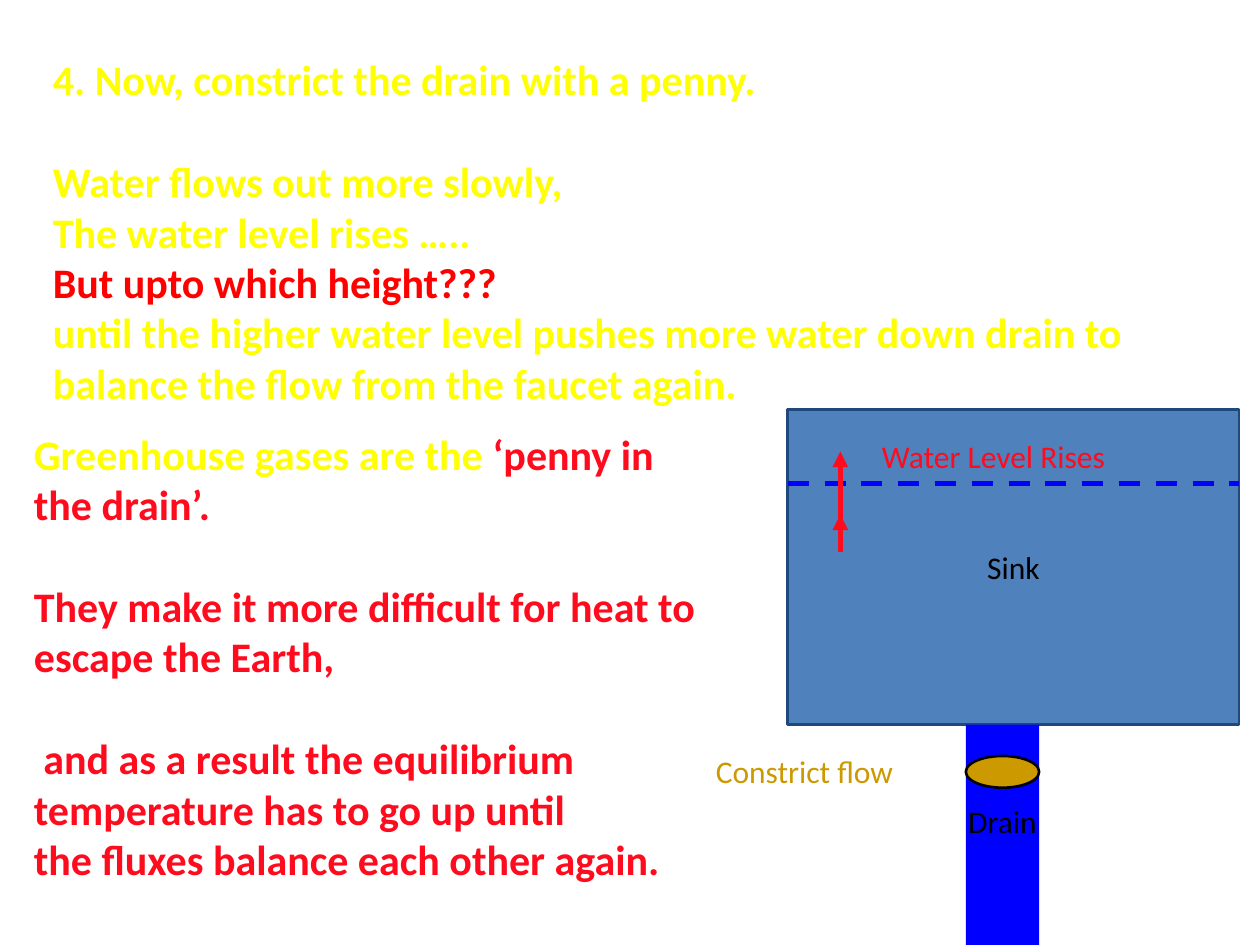
from dataclasses import dataclass

from lxml.etree import SubElement
from pptx import Presentation
from pptx.dml.color import RGBColor
from pptx.enum.dml import MSO_LINE
from pptx.enum.shapes import MSO_CONNECTOR, MSO_SHAPE
from pptx.enum.text import MSO_ANCHOR, MSO_AUTO_SIZE, PP_ALIGN
from pptx.oxml.ns import qn
from pptx.util import Cm, Pt


@dataclass(frozen=True)
class Theme:
    font: str = "Calibri"
    text_size: int = 24
    label_size: int = 18
    line_gap: float = 29.3
    yellow: str = "FFFF00"
    question: str = "FF0000"
    red: str = "FF0B1E"
    black: str = "000000"
    sink: str = "4F81BD"
    sink_edge: str = "1F497D"
    water: str = "0000FF"
    penny: str = "CC9900"


THEME = Theme()


def color(code):
    return RGBColor.from_string(code)


def style_font(font, size, code, bold=False):
    font.name = THEME.font
    font.size = Pt(size)
    font.bold = bold
    font.color.rgb = color(code)


def place(shape, area):
    shape.left, shape.top, shape.width, shape.height = map(Cm, area)


def fill_placeholder(box, area, paragraphs):
    """Write paragraphs given as (gap before, [(text, colour), ...])."""
    place(box, area)
    frame = box.text_frame
    frame.word_wrap = True
    frame.auto_size = MSO_AUTO_SIZE.NONE
    frame.vertical_anchor = MSO_ANCHOR.TOP
    for index, (gap, spans) in enumerate(paragraphs):
        para = frame.add_paragraph() if index else frame.paragraphs[0]
        properties = para._p.get_or_add_pPr()
        properties.set("marL", "0")
        properties.set("indent", "0")
        SubElement(properties, qn("a:buNone"))
        para.alignment = PP_ALIGN.LEFT
        para.space_before = Pt(gap)
        for text, code in spans:
            span = para.add_run()
            span.text = text
            style_font(span.font, THEME.text_size, code, bold=True)


def add_block(slide, kind, area, fill, edge=None, text=""):
    block = slide.shapes.add_shape(kind, *map(Cm, area))
    block.shadow.inherit = False
    block.fill.solid()
    block.fill.fore_color.rgb = color(fill)
    if edge:
        block.line.color.rgb = color(edge)
        block.line.width = Pt(1.5)
    else:
        block.line.fill.background()
    if text:
        frame = block.text_frame
        frame.text = text
        frame.word_wrap = False
        frame.vertical_anchor = MSO_ANCHOR.MIDDLE
        para = frame.paragraphs[0]
        para.alignment = PP_ALIGN.CENTER
        style_font(para.runs[0].font, THEME.label_size, THEME.black)
    return block


def add_label(slide, area, text, code):
    box = slide.shapes.add_textbox(*map(Cm, area))
    box.text_frame.word_wrap = True
    box.text_frame.text = text
    style_font(box.text_frame.paragraphs[0].runs[0].font, THEME.label_size, code)


def add_line(slide, ends, code):
    line = slide.shapes.add_connector(MSO_CONNECTOR.STRAIGHT, *map(Cm, ends))
    line.line.color.rgb = color(code)
    line.line.width = Pt(3)
    SubElement(line._element.spPr, qn("a:effectLst"))
    return line


def add_arrow(slide, ends, code):
    arrow = add_line(slide, ends, code)
    SubElement(arrow.line._get_or_add_ln(), qn("a:tailEnd"), type="triangle")


def add_text(slide):
    title, steps, meaning = slide.placeholders
    yellow, red, gap = THEME.yellow, THEME.red, THEME.line_gap
    fill_placeholder(title, (0.81, 0.96, 24.56, 1.3), [
        (0, [("4. Now, constrict the drain with a penny.", yellow)]),
    ])
    fill_placeholder(steps, (0.81, 3.01, 24.56, 5.45), [
        (0, [("Water flows out more slowly,", yellow)]),
        (0, [("The water level rises …..", yellow)]),
        (0, [("But upto which height???", THEME.question)]),
        (0, [("until the higher water level pushes more water down drain to "
              "balance the flow from the faucet again.", yellow)]),
    ])
    fill_placeholder(meaning, (0.43, 8.51, 14.17, 9.5), [
        (0, [("Greenhouse gases are the ", yellow),
             ("‘penny in the drain’.", red)]),
        (gap, [("They make it more difficult for heat to", red)]),
        (0, [("escape the Earth,", red)]),
        (gap, [(" and as a result the equilibrium temperature has to go up until", red)]),
        (0, [("the fluxes balance each other again.", red)]),
    ])


def add_sink(slide):
    left, top, width, height = 15.88, 8.26, 9.1, 6.35
    drain_left, drain_width = 19.47, 1.48
    level, arrow_x, arrow_foot = 9.74, 16.94, 11.13

    add_block(slide, MSO_SHAPE.RECTANGLE, (left, top, width, height),
              THEME.sink, THEME.sink_edge, "Sink")
    drain = add_block(slide, MSO_SHAPE.RECTANGLE,
                      (drain_left, top + height, drain_width, 4.65),
                      THEME.water, text="Drain")
    drain.text_frame.margin_bottom = Cm(0.9)
    add_block(slide, MSO_SHAPE.OVAL, (drain_left, 15.24, drain_width, 0.64),
              THEME.penny, THEME.black)

    surface = add_line(slide, (left, level, left + width, level), THEME.water)
    surface.line.dash_style = MSO_LINE.DASH
    for tip in (9.1, 10.37):
        add_arrow(slide, (arrow_x, arrow_foot, arrow_x, tip), THEME.red)

    add_label(slide, (17.53, 8.68, 6.5, 1.14), "Water Level Rises", THEME.red)
    add_label(slide, (14.18, 15.04, 4.95, 1.14), "Constrict flow", THEME.penny)


def main():
    deck = Presentation()
    deck.slide_width, deck.slide_height = Cm(25.4), Cm(19.05)
    slide = deck.slides.add_slide(deck.slide_layouts.get_by_name("Two Content"))
    add_text(slide)
    add_sink(slide)
    deck.save("out.pptx")


if __name__ == "__main__":
    main()
